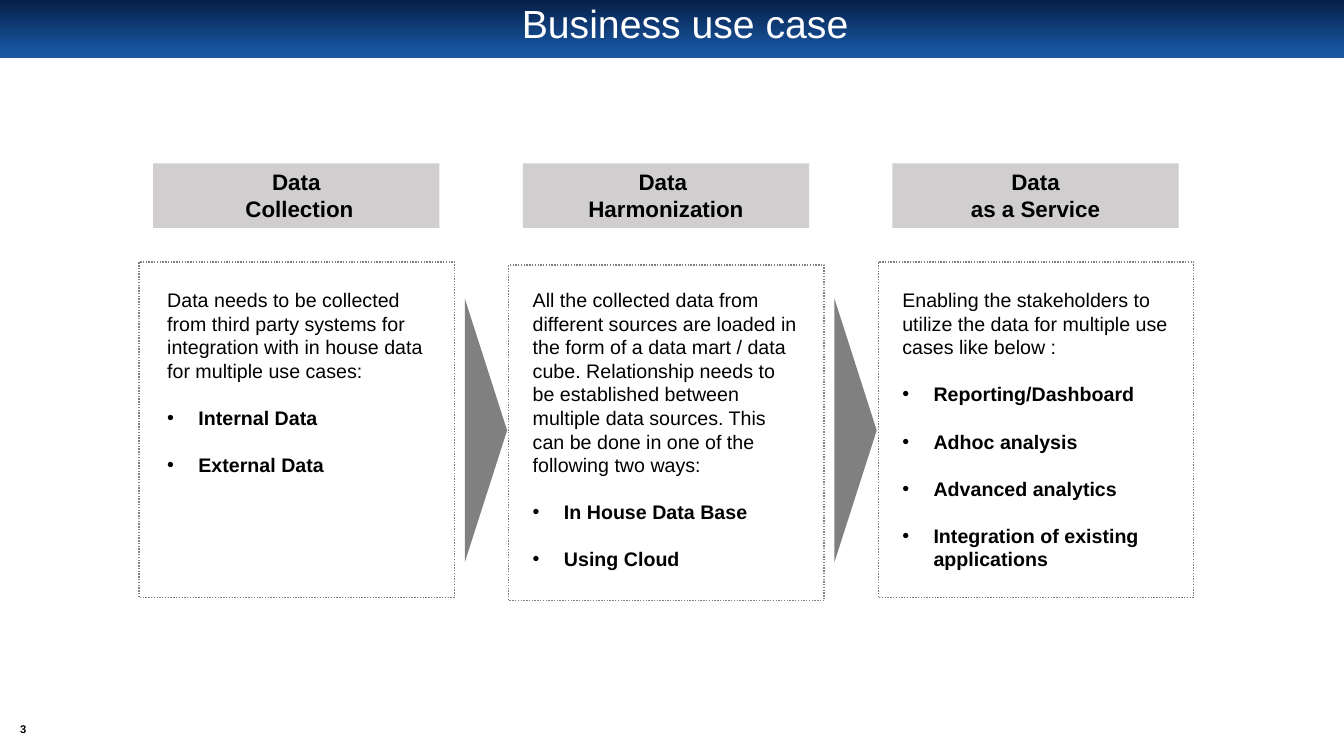
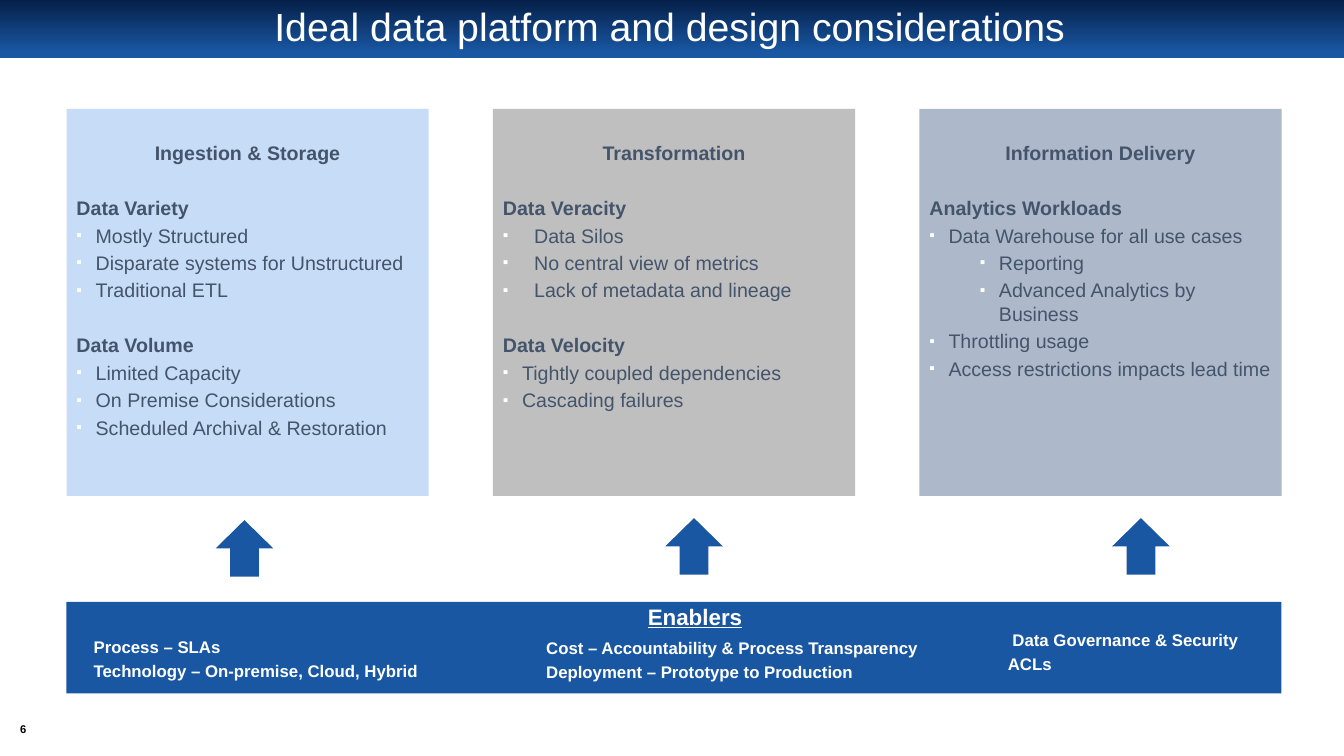
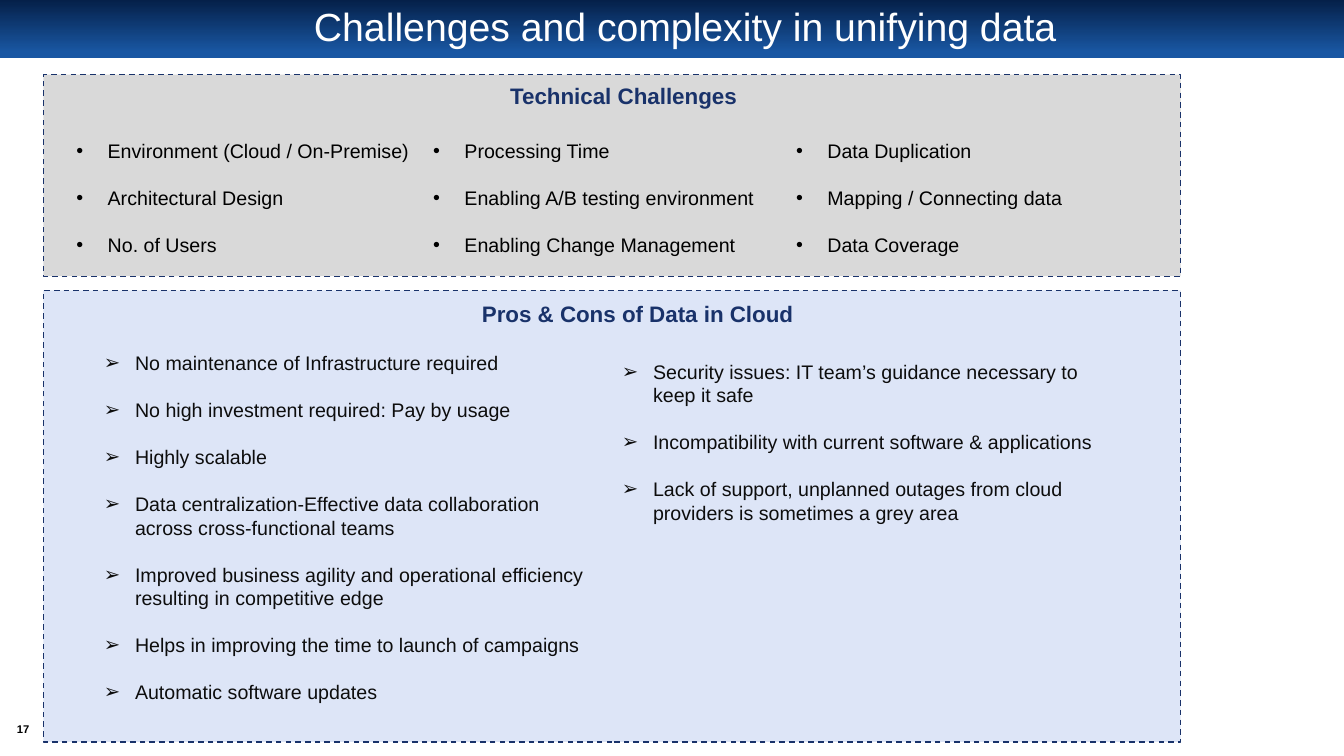
from lxml import etree
from pptx import Presentation
from pptx import util as u
from pptx.dml.color import RGBColor
from pptx.enum import dml, shapes, text
from pptx.oxml import ns

FONT = "Arial"
COLORS = {
    "navy": "052049", "blue": "1957A3", "ink": "19326A", "slate": "44546A",
    "black": "000000", "soft_black": "0D0D0D", "white": "FFFFFF",
    "header": "D0CECE", "gray": "808080", "panel": "D9D9D9", "pale": "DDE5F7",
    "ingest": "C7DCF6", "transform": "BFBFBF", "deliver": "ADB9CA",
}
WIDTH, HEIGHT = u.Inches(13.33), u.Inches(7.5)
SHAPE = shapes.MSO_SHAPE
CENTER = text.PP_ALIGN.CENTER
MIDDLE = text.MSO_ANCHOR.MIDDLE
LINE_GAP = 16.8   # points, one line of 14 pt text
TIGHT_GAP = 2.8   # points, a fifth of 14 pt


def rgb(name):
    return RGBColor.from_string(COLORS[name])


def frame(x, y, w, h):
    """Turn percentages of the slide's width and height into lengths."""
    return (int(WIDTH * x / 100), int(HEIGHT * y / 100),
            int(WIDTH * w / 100), int(HEIGHT * h / 100))


def add_box(s, place, kind=SHAPE.RECTANGLE, fill=None, line=None, dash=None):
    sp = s.shapes.add_shape(kind, *frame(*place))
    sp.shadow.inherit = False
    if fill:
        sp.fill.solid()
        sp.fill.fore_color.rgb = rgb(fill)
    else:
        sp.fill.background()
    if line:
        sp.line.color.rgb = rgb(line)
        sp.line.width = u.Pt(1)
        sp.line.dash_style = dash
    else:
        sp.line.fill.background()
    sp.text_frame.vertical_anchor = text.MSO_ANCHOR.TOP
    return sp


def add_text_box(s, place, anchor=text.MSO_ANCHOR.TOP):
    tf = s.shapes.add_textbox(*frame(*place)).text_frame
    tf.word_wrap = True
    tf.vertical_anchor = anchor
    return tf


def set_bullet(p, char, left, hang, color=None, percent=None):
    pPr = p._p.get_or_add_pPr()
    pPr.set("marL", str(u.Inches(left)))
    pPr.set("indent", str(-u.Inches(hang)))
    if color:
        clr = etree.SubElement(pPr, ns.qn("a:buClr"))
        etree.SubElement(clr, ns.qn("a:srgbClr")).set("val", COLORS[color])
    if percent:
        etree.SubElement(pPr, ns.qn("a:buSzPct")).set("val", str(percent * 1000))
    etree.SubElement(pPr, ns.qn("a:buFont")).set("typeface", FONT)
    etree.SubElement(pPr, ns.qn("a:buChar")).set("char", char)


def add_para(tf, words, size=14, color="black", bold=False, underline=False,
             align=text.PP_ALIGN.LEFT, before=0, bullet=None):
    """Append a paragraph; the first one of a frame gets no space before."""
    first = tf.text == ""
    p = tf.paragraphs[0] if first else tf.add_paragraph()
    p.text = words
    if bullet:
        set_bullet(p, *bullet)
    p.alignment = align
    if before and not first:
        p.space_before = u.Pt(before)
    for r in p.runs:
        r.font.name = FONT
        r.font.size = u.Pt(size)
        r.font.bold = bold
        r.font.underline = underline
        r.font.color.rgb = rgb(color)
    return p


def add_list(tf, items, char="•", left=0.31, **style):
    for item in items:
        add_para(tf, item, before=LINE_GAP, bullet=(char, left, 0.31), **style)


def add_slide(prs, title, number, title_y=0.8, title_w=92.05):
    """Blank slide with the gradient band, its title and the page number."""
    s = prs.slides.add_slide(prs.slide_layouts[6])
    band = add_box(s, (0, 0, 100, 7.73))
    band.fill.gradient()
    band.fill.gradient_angle = 270
    for stop, color, position in zip(band.fill.gradient_stops,
                                     ("navy", "blue"), (0, 0.9)):
        stop.color.rgb = rgb(color)
        stop.position = position
    tf = add_text_box(s, (4.95, title_y, title_w, 6), MIDDLE)
    add_para(tf, title, 28, "white", align=CENTER).line_spacing = 0.9
    tf = add_text_box(s, (0.6, 95.2, 2.25, 2.53), MIDDLE)
    tf.margin_left = tf.margin_right = tf.margin_top = tf.margin_bottom = 0
    add_para(tf, number, 8, bold=True, align=CENTER)
    return s


def build_use_case(prs):
    s = add_slide(prs, "Business use case", "3", title_y=0.4)
    pitch = 27.5
    steps = [
        (("Data", " Collection"), 34.67, 1.35, 21.08,
         "Data needs to be collected from third party systems for integration "
         "with in house data for multiple use cases:",
         ["Internal Data", "External Data"]),
        (("Data ", "Harmonization"), 35.07, 1.05, 21.4,
         "All the collected data from different sources are loaded in the form "
         "of a data mart / data cube. Relationship needs to be established "
         "between multiple data sources. This can be done in one of the "
         "following two ways:",
         ["In House Data Base", "Using Cloud"]),
        (("Data", "as a Service"), 34.67, 1.05, 23.48,
         "Enabling the stakeholders to utilize the data for multiple use cases "
         "like below :",
         ["Reporting/Dashboard", "Adhoc analysis", "Advanced analytics",
          "Integration of existing applications"]),
    ]
    for col, (header, top, inset, width, intro, items) in enumerate(steps):
        x = 10.35 + col * pitch
        sp = add_box(s, (x + 1.05, 21.6, 21.3, 8.53), fill="header")
        for words in header:
            add_para(sp.text_frame, words, 16, bold=True, align=CENTER)
        add_box(s, (x, top, 23.48, 44.4), line="gray",
                dash=dml.MSO_LINE.ROUND_DOT)
        tf = add_text_box(s, (x + inset, 37.47, width, 42))
        add_para(tf, intro)
        add_list(tf, items, bold=True)
    for col in range(2):
        wedge = add_box(s, (26.33 + col * pitch, 54.13, 19.65, 5.6),
                        SHAPE.ISOSCELES_TRIANGLE, "gray")
        wedge.rotation = 90


def add_platform_card(s, col, fill, heading, groups):
    """Card with groups of (title, [(item, left indent, hanging indent)])."""
    sp = add_box(s, (4.95 + col * 31.73, 14.4, 26.95, 51.2), fill=fill)
    tf = sp.text_frame
    tf.margin_top = u.Inches(0.32)
    add_para(tf, heading, color="slate", bold=True, align=CENTER)
    for title, items in groups:
        add_para(tf, title, color="slate", bold=True,
                 before=LINE_GAP + 2 * TIGHT_GAP)
        for item, left, hang in items:
            add_para(tf, item, color="slate", before=TIGHT_GAP,
                     bullet=("▪", left, hang, "white", 80))


def level(left, hang, *items):
    return [(item, left, hang) for item in items]


def build_platform(prs):
    s = add_slide(prs, "Ideal data platform and design considerations", "6",
                  title_w=89.72)
    near, wide, deep = (0.19, 0.19), (0.31, 0.31), (0.69, 0.19)
    cards = [
        ("ingest", "Ingestion & Storage", [
            ("Data Variety", level(
                *near, "Mostly Structured",
                "Disparate systems for Unstructured", "Traditional ETL")),
            ("Data Volume", level(
                *near, "Limited Capacity", "On Premise Considerations",
                "Scheduled Archival & Restoration"))]),
        ("transform", "Transformation", [
            ("Data Veracity", level(
                *wide, "Data Silos", "No central view of metrics",
                "Lack of metadata and lineage")),
            ("Data Velocity", level(
                *near, "Tightly coupled dependencies",
                "Cascading failures"))]),
        ("deliver", "Information Delivery", [
            ("Analytics Workloads",
             level(*near, "Data Warehouse for all use cases")
             + level(*deep, "Reporting", "Advanced Analytics by Business")
             + level(*near, "Throttling usage",
                     "Access restrictions impacts lead time"))]),
    ]
    for col, card in enumerate(cards):
        add_platform_card(s, col, *card)

    add_box(s, (4.95, 79.6, 90.4, 12.13), fill="blue")
    for x, y in ((16.05, 68.8), (49.5, 68.53), (82.75, 68.53)):
        add_box(s, (x, y, 4.28, 7.47), SHAPE.UP_ARROW, "blue")
    enablers = [
        (6.23, 83.6, 27, "Process – SLAs",
         "Technology – On-premise, Cloud, Hybrid"),
        (39.9, 83.73, 30, "Cost – Accountability & Process Transparency",
         "Deployment – Prototype to Production"),
        (74.25, 82.67, 20, " Data Governance & Security", "ACLs"),
    ]
    for x, y, w, *lines in enablers:
        tf = add_text_box(s, (x, y, w, 7.33))
        for words in lines:
            add_para(tf, words, 12, "white", bold=True, before=2.4)
    tf = add_text_box(s, (45.4, 79.07, 12.63, 4.93))
    add_para(tf, "Enablers", 16, "white", bold=True, underline=True,
             align=CENTER)


def build_challenges(prs):
    s = add_slide(prs, "Challenges and complexity in unifying data", "17")
    panel = {"line": "ink", "dash": dml.MSO_LINE.DASH}
    add_box(s, (3.23, 9.87, 84.62, 26.67), fill="panel", **panel)
    cloud = add_box(s, (3.23, 38.4, 84.62, 59.73), fill="pale", **panel)
    for place, words in (
            ((4.95, 10.27, 82.9, 5), "Technical Challenges"),
            ((7.05, 39.07, 80.8, 5.33), "Pros & Cons of Data in Cloud")):
        add_para(add_text_box(s, place), words, 16, "ink", bold=True,
                 align=CENTER)

    challenges = [
        (4.95, ["Environment (Cloud / On-Premise)", "Architectural Design",
                "No. of Users"]),
        (31.5, ["Processing Time", "Enabling A/B testing environment",
                "Enabling Change Management"]),
        (58.5, ["Data Duplication", "Mapping / Connecting data",
                "Data Coverage"]),
    ]
    for x, items in challenges:
        add_list(add_text_box(s, (x, 17.73, 27, 17.07)), items)

    pros = cloud.text_frame
    pros.margin_top = u.Inches(0.6)
    pros.margin_right = u.Inches(5.83)
    add_list(pros, [
        "No maintenance of Infrastructure required",
        "No high investment required: Pay by usage",
        "Highly scalable",
        "Data centralization-Effective data collaboration across "
        "cross-functional teams",
        "Improved business agility and operational efficiency resulting in "
        "competitive edge",
        "Helps in improving the time to launch of campaigns",
        "Automatic software updates",
    ], "➢", left=0.81, color="soft_black")
    cons = add_text_box(s, (45.53, 46.13, 36.76, 24.67), MIDDLE)
    add_list(cons, [
        "Security issues: IT team’s guidance necessary to keep it safe",
        "Incompatibility with current software & applications",
        "Lack of support, unplanned outages from cloud providers is sometimes "
        "a grey area",
    ], "➢", color="soft_black")


def main():
    prs = Presentation()
    prs.slide_width, prs.slide_height = WIDTH, HEIGHT
    build_use_case(prs)
    build_platform(prs)
    build_challenges(prs)
    prs.save("out.pptx")


if __name__ == "__main__":
    main()
